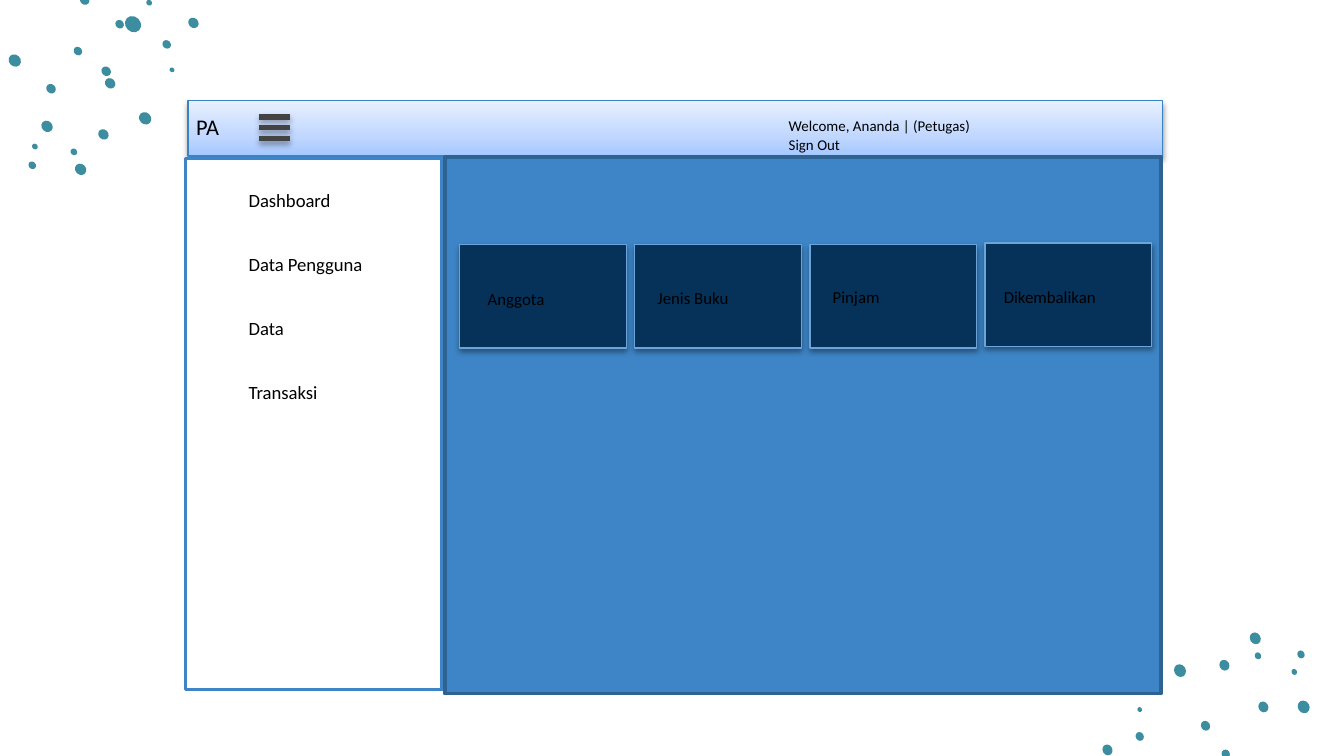
import copy

import lxml.etree
import pptx
import pptx.dml.color
import pptx.enum.shapes
import pptx.enum.text
import pptx.oxml
import pptx.oxml.ns
import pptx.util

Inches = pptx.util.Inches
Pt = pptx.util.Pt
RGBColor = pptx.dml.color.RGBColor
Shape = pptx.enum.shapes.MSO_SHAPE
qn = pptx.oxml.ns.qn

TEAL = RGBColor(0x3C, 0x8D, 0xA0)
BLACK = RGBColor(0, 0, 0)
WHITE = RGBColor(0xFF, 0xFF, 0xFF)
GRAY = RGBColor(0x43, 0x43, 0x43)
BLUE = RGBColor(0x3D, 0x85, 0xC6)
EDGE = RGBColor(0x2D, 0x62, 0x92)
NAVY = RGBColor(0x06, 0x31, 0x59)
SKY = RGBColor(0x6A, 0xA4, 0xDA)
RIM = RGBColor(0x38, 0x82, 0xC5)
FADE = [(0, RGBColor(0xA5, 0xC8, 0xFF)),
        (0.35, RGBColor(0xC0, 0xD7, 0xFF)),
        (1, RGBColor(0xE7, 0xF0, 0xFF))]

# Dots as centre x, centre y and size
UPPER = [(0.99, 0.18, 0.17), (1.11, 0.02, 0.06), (0.63, 0, 0.1),
         (0.89, 0.18, 0.09), (0.58, 0.38, 0.09), (0.79, 0.53, 0.1),
         (0.82, 0.62, 0.11), (0.38, 0.66, 0.1), (0.77, 1, 0.11),
         (0.35, 0.94, 0.12), (0.55, 1.13, 0.07), (0.6, 1.26, 0.12),
         (0.26, 1.09, 0.06), (0.24, 1.23, 0.08), (1.08, 0.88, 0.13),
         (1.44, 0.17, 0.11), (1.24, 0.33, 0.09), (1.28, 0.52, 0.05),
         (0.11, 0.45, 0.13)]
LOWER = [(9.12, 5.61, 0.09), (8.97, 5.4, 0.1), (9.4, 5.26, 0.11),
         (9.11, 4.95, 0.11), (9.36, 4.88, 0.07), (9.34, 4.75, 0.12),
         (9.63, 5, 0.06), (9.68, 4.87, 0.08), (8.78, 4.99, 0.13),
         (8.24, 5.58, 0.11), (8.48, 5.48, 0.09), (8.48, 5.28, 0.05),
         (9.7, 5.26, 0.13)]


def place(part, x, y, w, h):
    part.left, part.top = Inches(x), Inches(y)
    part.width, part.height = Inches(w), Inches(h)


def shade(part, alpha, gap):
    """Give a part a soft shadow below it."""
    effect = pptx.oxml.parse_xml(
        '<a:effectLst xmlns:a="http://schemas.openxmlformats.org/drawingml/2006/main">'
        f'<a:outerShdw blurRad="{Pt(3.1)}" dist="{Pt(gap)}" dir="5400000" rotWithShape="0">'
        f'<a:srgbClr val="000000"><a:alpha val="{alpha * 1000}"/></a:srgbClr>'
        '</a:outerShdw></a:effectLst>')
    props = part._element.spPr
    for old in props.findall(qn("a:effectLst")):
        props.remove(old)
    props.append(effect)


def panel(slide, x, y, w, h, fill, edge, width):
    part = slide.shapes.add_shape(
        Shape.RECTANGLE, Inches(x), Inches(y), Inches(w), Inches(h))
    part.shadow.inherit = False
    part.fill.solid()
    part.fill.fore_color.rgb = fill
    part.line.color.rgb = edge
    part.line.width = Pt(width)
    return part


def write(part, text, size, gap=0):
    """Set left-aligned plain text, one paragraph a line."""
    frame = part.text_frame
    frame.text = text
    frame.word_wrap = True
    frame.auto_size = pptx.enum.text.MSO_AUTO_SIZE.NONE
    frame.vertical_anchor = pptx.enum.text.MSO_ANCHOR.TOP
    for i, para in enumerate(frame.paragraphs):
        props = para._p.get_or_add_pPr()
        props.set("marL", "0")
        props.set("indent", "0")
        lxml.etree.SubElement(props, qn("a:buNone"))
        para.alignment = pptx.enum.text.PP_ALIGN.LEFT
        para.line_spacing = 1.07
        para.space_before = Pt(gap if i else 0)
        para.space_after = Pt(0)
        for run in para.runs:
            run.font.name = "Calibri"
            run.font.size = Pt(size)
            run.font.color.rgb = BLACK


def label(slide, x, y, w, h, text, size):
    part = slide.shapes.add_textbox(Inches(x), Inches(y), Inches(w), Inches(h))
    write(part, text, size)


def fill_slot(slide, slot, x, y, w, h, text, size, gap=0):
    """Move a placeholder to the front and fill it."""
    slide.shapes._spTree.append(slot._element)
    place(slot, x, y, w, h)
    write(slot, text, size, gap)


def scatter(slide, dots, turn):
    for x, y, size in dots:
        w, h = size * 0.75, size * 0.66
        dot = slide.shapes.add_shape(
            Shape.OVAL, Inches(x - w / 2), Inches(y - h / 2), Inches(w), Inches(h))
        dot.shadow.inherit = False
        dot.rotation = turn
        dot.fill.solid()
        dot.fill.fore_color.rgb = TEAL
        dot.line.fill.background()


def header(slide, x, y, w, h):
    bar = panel(slide, x, y, w, h, WHITE, RIM, 0.75)
    bar.fill.gradient()
    bar.fill.gradient_angle = 90
    stops = bar._element.spPr.find(qn("a:gradFill")).find(qn("a:gsLst"))
    stops.append(copy.deepcopy(stops[0]))
    for stop, (spot, color) in zip(bar.fill.gradient_stops, FADE):
        stop.position = spot
        stop.color.rgb = color
    shade(bar, 38, 1.6)

    fill_slot(slide, slide.shapes.title, x - 0.04, y + 0.03, 0.46, 0.37, "PA", 12)

    # Menu icon
    for i in range(3):
        level = Inches(y + 0.12 + 0.08 * i)
        line = slide.shapes.add_connector(
            pptx.enum.shapes.MSO_CONNECTOR.STRAIGHT,
            Inches(x + 0.53), level, Inches(x + 0.76), level)
        line.line.color.rgb = GRAY
        line.line.width = Pt(3)
        shade(line, 35, 1.8)

    label(slide, x + 4.37, y + 0.06, 2.9, 0.31,
          "Welcome, Ananda | (Petugas)\vSign Out", 8)


def sidebar(slide, x, y, w, h):
    panel(slide, x, y, w, h, WHITE, BLUE, 2)
    items = ["Dashboard", "Data Pengguna", "Data", "Transaksi"]
    fill_slot(slide, slide.placeholders[1], x + 0.37, y + 0.16, 1.24, 1.74,
              "\n".join(items), 10, gap=21.5)


def board(slide, x, y, w, h):
    panel(slide, x, y, w, h, BLUE, EDGE, 2)
    # Card name, card top, label inset, label top
    cards = [("Anggota", 0.65, 0.11, 0.92), ("Jenis Buku", 0.65, 0.07, 0.91),
             ("Pinjam", 0.65, 0.07, 0.9), ("Dikembalikan", 0.64, 0.04, 0.9)]
    pitch = 3.91 / 3
    for i, (name, top, inset, drop) in enumerate(cards):
        left = x + 0.11 + pitch * i
        card = panel(slide, left, y + top, 1.24, 0.77, NAVY, SKY, 0.75)
        shade(card, 38, 1.6)
        label(slide, left + inset, y + drop, 0.99, 0.31, name, 9)


def main():
    deck = pptx.Presentation()
    deck.slide_width = Inches(10)
    deck.slide_height = Inches(10 * 9 / 16)
    slide = deck.slides.add_slide(deck.slide_layouts[1])
    scatter(slide, UPPER, 225)
    scatter(slide, LOWER, 60.3)
    header(slide, 1.4, 0.75, 7.25, 0.41)
    sidebar(slide, 1.38, 1.18, 1.91, 3.95)
    board(slide, 3.31, 1.17, 5.33, 3.99)
    deck.save("out.pptx")


if __name__ == "__main__":
    main()
